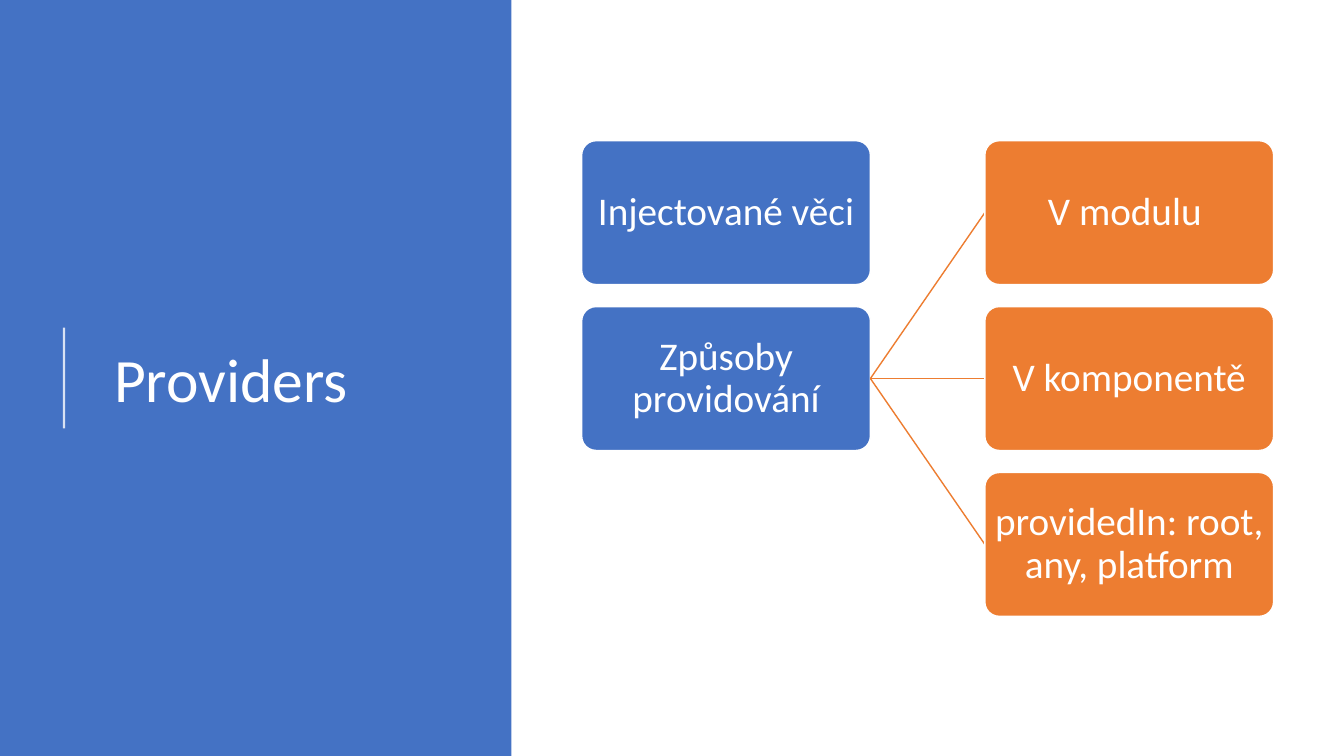
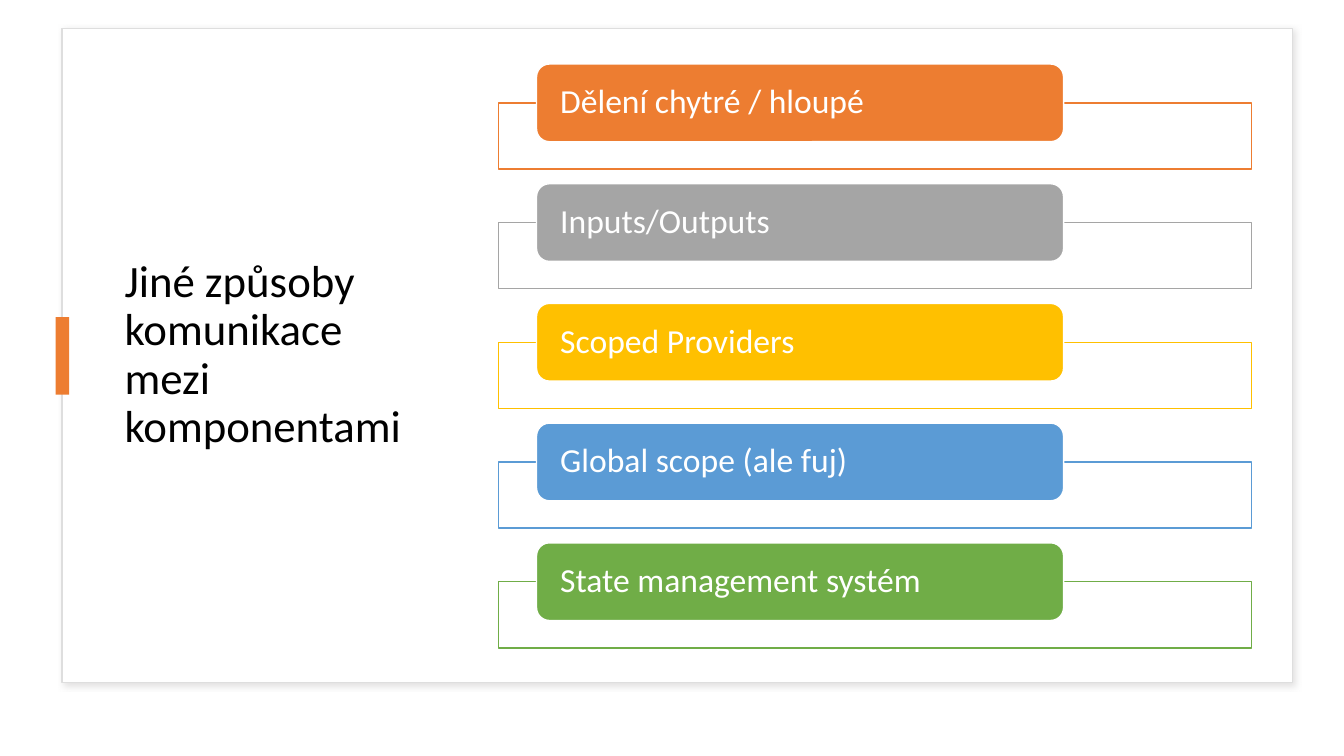
from lxml.etree import SubElement
from pptx import Presentation
from pptx.dml.color import RGBColor
from pptx.enum.shapes import MSO_CONNECTOR as CONNECTOR, MSO_SHAPE as SHAPE
from pptx.enum.text import MSO_ANCHOR as ANCHOR, MSO_AUTO_SIZE as AUTO_SIZE, PP_ALIGN as ALIGN
from pptx.oxml.ns import qn
from pptx.util import Emu, Pt

EMU_PER_PX = 9525
SLIDE_WIDTH, SLIDE_HEIGHT = 1280, 720
TITLE_ONLY = 5
LEFT_SITE, RIGHT_SITE = 1, 3
FONT = "Calibri"
COLORS = {
    "white": "FFFFFF",
    "black": "000000",
    "blue": "4472C4",
    "orange": "ED7D31",
    "gray": "A5A5A5",
    "yellow": "FFC000",
    "sky": "5B9BD5",
    "green": "70AD47",
    "frame": "DEDEDE",
    "shadow": "C5C3C3",
}


def px(value):
    return Emu(value * EMU_PER_PX)


def rgb(name):
    return RGBColor.from_string(COLORS[name])


def set_alpha(color_parent, percent):
    color = next(color_parent.iter(qn("a:srgbClr")))
    SubElement(color, qn("a:alpha"), val=str(percent * 1000))


def write_text(frame, text, *, size, color="white", align=ALIGN.LEFT, inset=None):
    frame.word_wrap = True
    frame.auto_size = AUTO_SIZE.NONE
    frame.vertical_anchor = ANCHOR.MIDDLE
    if inset:
        horizontal, vertical = inset
        frame.margin_left = frame.margin_right = px(horizontal)
        frame.margin_top = frame.margin_bottom = px(vertical)
    para = frame.paragraphs[0]
    para.alignment = align
    para.line_spacing = 0.9
    span = para.add_run()
    span.text = text
    span.font.name = FONT
    span.font.size = Pt(size)
    span.font.color.rgb = rgb(color)


def add_box(page, kind, left, top, width, height, *, fill, line=None, corner=None):
    box = page.shapes.add_shape(kind, px(left), px(top), px(width), px(height))
    box.shadow.inherit = False
    box.fill.solid()
    box.fill.fore_color.rgb = rgb(fill)
    if line:
        box.line.color.rgb = rgb(line)
        box.line.width = Pt(1)
    else:
        box.line.fill.background()
    if corner is not None:
        box.adjustments[0] = corner
    return box


def add_line(page, start, end, *, color, width):
    (x1, y1), (x2, y2) = start, end
    line = page.shapes.add_connector(CONNECTOR.STRAIGHT, px(x1), px(y1), px(x2), px(y2))
    line.line.color.rgb = rgb(color)
    line.line.width = Pt(width)
    SubElement(line.element.spPr, qn("a:effectLst"))
    return line


def add_shadow(box):
    effects = box.element.spPr.find(qn("a:effectLst"))
    shadow = SubElement(
        effects, qn("a:outerShdw"), blurRad=str(Pt(4)), dist=str(Pt(3)),
        dir=str(45 * 60000), algn="tl", rotWithShape="0",
    )
    SubElement(shadow, qn("a:srgbClr"), val=COLORS["shadow"])
    set_alpha(shadow, 50)


def add_page(deck):
    return deck.slides.add_slide(deck.slide_layouts[TITLE_ONLY])


def set_title(page, text, left, top, width, height, *, size, color):
    title = page.shapes.title
    title.left, title.top = px(left), px(top)
    title.width, title.height = px(width), px(height)
    write_text(title.text_frame, text, size=size, color=color)
    return title


def add_nodes(page, texts, left, color):
    top, width, height, pitch = 134, 275, 137, 158
    nodes = []
    for row, text in enumerate(texts):
        node = add_box(page, SHAPE.ROUNDED_RECTANGLE, left, top + row * pitch, width, height,
                       fill=color, line="white", corner=0.1)
        write_text(node.text_frame, text, size=28, align=ALIGN.CENTER, inset=(2, 2))
        nodes.append(node)
    return nodes


def join_nodes(page, parent, child):
    link = add_line(page, (0, 0), (0, 0), color="orange", width=1)
    link.begin_connect(parent, RIGHT_SITE)
    link.end_connect(child, LEFT_SITE)
    child.element.addprevious(link.element)


def add_entry(page, text, color, row):
    offset = row * 114
    outline = add_box(page, SHAPE.RECTANGLE, 475, 98 + offset, 717, 63, fill="white", line=color)
    set_alpha(outline.element.spPr, 90)
    label = add_box(page, SHAPE.ROUNDED_RECTANGLE, 511, 61 + offset, 502, 74,
                    fill=color, line="white")
    write_text(label.text_frame, text, size=24, inset=(19, 0))


def build_providers(deck):
    page = add_page(deck)
    panel = add_box(page, SHAPE.RECTANGLE, 0, 0, 487, SLIDE_HEIGHT, fill="blue")
    title = set_title(page, "Providers", 99, 75, 354, 578, size=44, color="white")
    title.element.addprevious(panel.element)
    rule = add_line(page, (61, 408), (61, 312), color="white", width=1.5)
    set_alpha(rule.element.spPr, 80)

    topics = add_nodes(page, ["Injectované věci", "Způsoby providování"], 554, "blue")
    ways = add_nodes(
        page, ["V modulu ", "V komponentě", "providedIn: root, any, platform"], 938, "orange")
    for way in ways:
        join_nodes(page, topics[1], way)


def build_communication(deck):
    page = add_page(deck)
    frame = add_box(page, SHAPE.RECTANGLE, 59, 27, 1172, 623, fill="white", line="frame")
    add_shadow(frame)
    title = set_title(page, "Jiné způsoby komunikace mezi komponentami", 109, 53, 314, 571,
                      size=32, color="black")
    title.element.addprevious(frame.element)
    add_box(page, SHAPE.RECTANGLE, 53, 302, 13, 74, fill="orange")

    entries = [
        ("Dělení chytré / hloupé", "orange"),
        ("Inputs/Outputs", "gray"),
        ("Scoped Providers", "yellow"),
        ("Global scope (ale fuj)", "sky"),
        ("State management systém", "green"),
    ]
    for row, (text, color) in enumerate(entries):
        add_entry(page, text, color, row)


def main():
    deck = Presentation()
    deck.slide_width, deck.slide_height = px(SLIDE_WIDTH), px(SLIDE_HEIGHT)
    build_providers(deck)
    build_communication(deck)
    deck.save("out.pptx")


if __name__ == "__main__":
    main()
